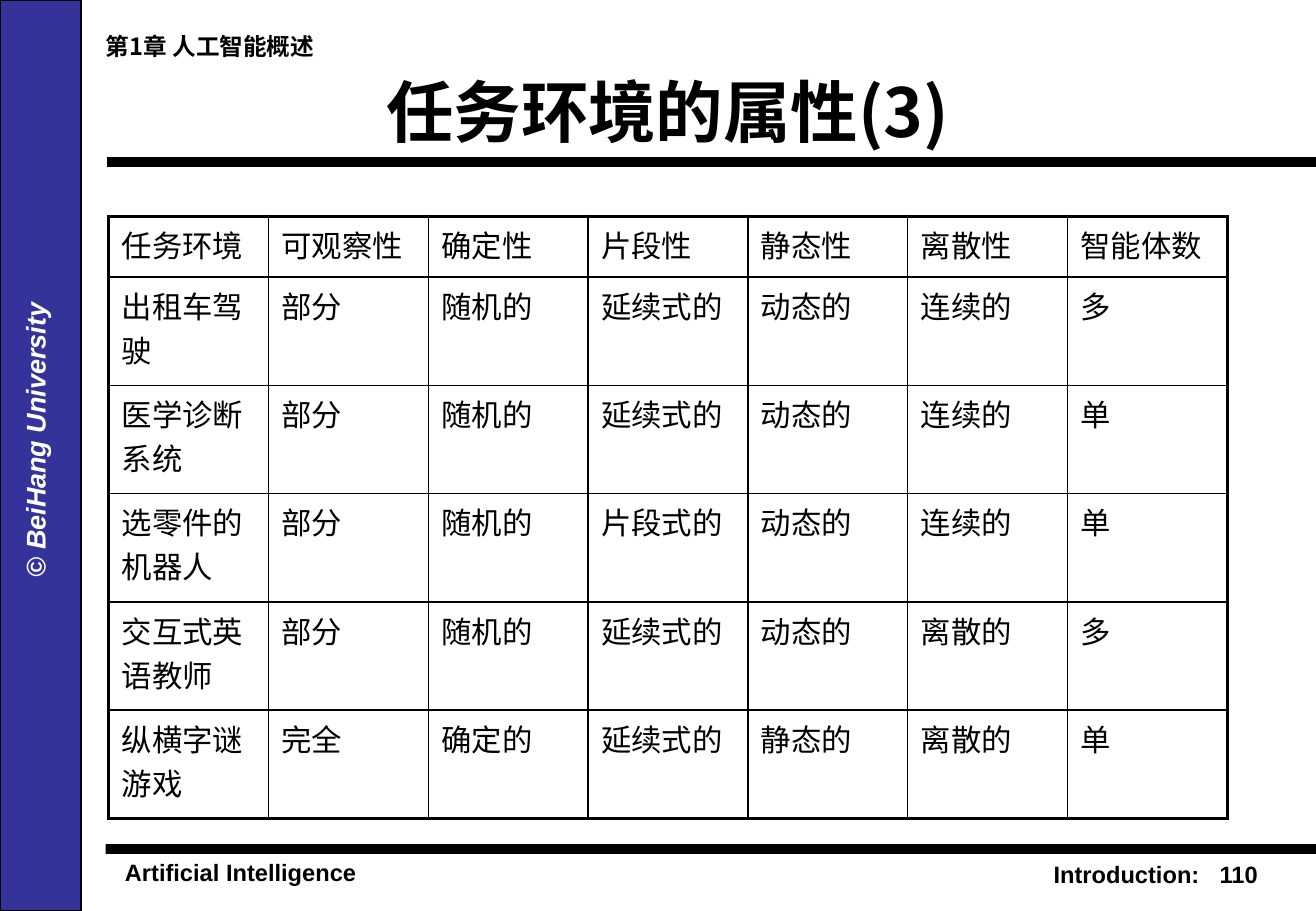
from dataclasses import dataclass

from lxml import etree
from pptx import Presentation
from pptx import util as u
from pptx.dml.color import RGBColor
from pptx.enum import shapes, text
from pptx.oxml.ns import qn

BLACK, WHITE, NAVY = "000000", "FFFFFF", "333399"
LATIN, CJK = "Arial", "Noto Sans CJK SC"
THIN, THICK = 1, 2.25
HEADER_HEIGHT, BODY_HEIGHT, COLUMN_WIDTH = 36, 64.22, 94.73

ROWS = [
    ("任务环境", "可观察性", "确定性", "片段性", "静态性", "离散性", "智能体数"),
    ("出租车驾驶", "部分", "随机的", "延续式的", "动态的", "连续的", "多"),
    ("医学诊断系统", "部分", "随机的", "延续式的", "动态的", "连续的", "单"),
    ("选零件的机器人", "部分", "随机的", "片段式的", "动态的", "连续的", "单"),
    ("交互式英语教师", "部分", "随机的", "延续式的", "动态的", "离散的", "多"),
    ("纵横字谜游戏", "完全", "确定的", "延续式的", "静态的", "离散的", "单"),
]


@dataclass
class Label:
    words: str
    left: float
    top: float
    width: float
    height: float
    font: str = LATIN
    size: float = 14
    color: str = BLACK
    italic: bool = False
    centred: bool = False
    rotation: float = 0
    tab: float = 0


@dataclass
class Bar:
    left: float
    top: float
    width: float
    height: float
    fill: str
    outlined: bool = False


LABELS = [
    Label("Artificial Intelligence", 66.96, 504.72, 156.24, 23.76),
    Label("Introduction:\t110", 617.4, 506.16, 155, 23.76, tab=98.4),
    Label("© BeiHang University", -99.1, 247.5, 240, 26.64, size=16,
          color=WHITE, italic=True, centred=True, rotation=270),
    Label("第1章 人工智能概述", 0, 15.12, 249.12, 24.48, font=CJK, centred=True),
]
BARS = [
    Bar(62.64, 500.4, 717.36, 5.76, BLACK),
    Bar(0, 0, 48.24, 540, NAVY, outlined=True),
]


def rgb(color: str) -> RGBColor:
    return RGBColor.from_string(color)


def format_runs(paragraph, font: str, size: float, color: str = BLACK,
                bold: bool = False, italic: bool = False) -> None:
    for run in paragraph.runs:
        run.font.name = font
        run.font.size = u.Pt(size)
        run.font.bold = bold
        run.font.italic = italic
        run.font.color.rgb = rgb(color)
        east_asian = etree.SubElement(run.font._element, qn("a:ea"))
        east_asian.set("typeface", font)


def set_insets(holder, side: float, end: float) -> None:
    holder.margin_left = holder.margin_right = u.Pt(side)
    holder.margin_top = holder.margin_bottom = u.Pt(end)


def draw_label(slide, label: Label) -> None:
    box = slide.shapes.add_textbox(u.Pt(label.left), u.Pt(label.top),
                                   u.Pt(label.width), u.Pt(label.height))
    box.rotation = label.rotation
    box.text_frame.word_wrap = True
    set_insets(box.text_frame, 7.2, 3.6)
    paragraph = box.text_frame.paragraphs[0]
    paragraph.text = label.words
    paragraph.alignment = text.PP_ALIGN.CENTER if label.centred else text.PP_ALIGN.LEFT
    if label.tab:
        tabs = etree.SubElement(paragraph._p.get_or_add_pPr(), qn("a:tabLst"))
        etree.SubElement(tabs, qn("a:tab"), pos=str(u.Pt(label.tab)), algn="l")
    format_runs(paragraph, label.font, label.size, label.color, True, label.italic)


def draw_bar(slide, bar: Bar) -> None:
    shape = slide.shapes.add_shape(shapes.MSO_SHAPE.RECTANGLE, u.Pt(bar.left),
                                   u.Pt(bar.top), u.Pt(bar.width), u.Pt(bar.height))
    shape.shadow.inherit = False
    shape.fill.solid()
    shape.fill.fore_color.rgb = rgb(bar.fill)
    if bar.outlined:
        shape.line.color.rgb = rgb(BLACK)
        shape.line.width = u.Pt(1)
    else:
        shape.line.fill.background()


def draw_title(slide) -> None:
    title = slide.shapes.title
    title.left, title.top = u.Pt(64.08), u.Pt(36.72)
    title.width, title.height = u.Pt(663.12), u.Pt(57.6)
    frame = title.text_frame
    frame.text = "任务环境的属性(3)"
    frame.word_wrap = True
    frame.auto_size = text.MSO_AUTO_SIZE.NONE
    frame.vertical_anchor = text.MSO_ANCHOR.MIDDLE
    set_insets(frame, 7.2, 3.6)
    frame.paragraphs[0].alignment = text.PP_ALIGN.CENTER
    format_runs(frame.paragraphs[0], CJK, 40, bold=True)


def draw_title_rule(slide) -> None:
    rule = slide.shapes.add_connector(shapes.MSO_CONNECTOR.STRAIGHT, u.Pt(63.36),
                                      u.Pt(96.2), u.Pt(780), u.Pt(96.2))
    rule.line.color.rgb = rgb(BLACK)
    rule.line.width = u.Pt(6)
    etree.SubElement(rule._element.spPr, qn("a:effectLst"))


def set_borders(cell, outer: dict[str, bool]) -> None:
    properties = cell._tc.get_or_add_tcPr()
    for place, (side, is_outer) in enumerate(outer.items()):
        width = u.Pt(THICK if is_outer else THIN)
        border = etree.Element(qn(f"a:ln{side}"), w=str(width))
        fill = etree.SubElement(border, qn("a:solidFill"))
        etree.SubElement(fill, qn("a:srgbClr"), val=BLACK)
        properties.insert(place, border)


def draw_properties_table(slide) -> None:
    last_row, last_column = len(ROWS) - 1, len(ROWS[0]) - 1
    table = slide.shapes.add_table(
        len(ROWS), len(ROWS[0]), u.Pt(64.5), u.Pt(128.16),
        u.Pt(COLUMN_WIDTH * len(ROWS[0])),
        u.Pt(HEADER_HEIGHT + BODY_HEIGHT * last_row)).table
    table.first_row = table.horz_banding = False
    for column in table.columns:
        column.width = u.Pt(COLUMN_WIDTH)
    for r, words in enumerate(ROWS):
        table.rows[r].height = u.Pt(BODY_HEIGHT if r else HEADER_HEIGHT)
        for c, word in enumerate(words):
            cell = table.cell(r, c)
            cell.text_frame.text = word
            set_insets(cell, 7.7, 3.6)
            cell.fill.background()
            set_borders(cell, {"L": c == 0, "R": c == last_column,
                               "T": r == 0, "B": r == last_row})
            format_runs(cell.text_frame.paragraphs[0], CJK, 18)


def main() -> None:
    deck = Presentation()
    deck.slide_width, deck.slide_height = u.Pt(780), u.Pt(540)
    slide = deck.slides.add_slide(deck.slide_layouts[5])
    for bar in BARS:
        draw_bar(slide, bar)
    draw_title_rule(slide)
    draw_title(slide)
    for label in LABELS:
        draw_label(slide, label)
    draw_properties_table(slide)
    deck.save("out.pptx")


if __name__ == "__main__":
    main()
